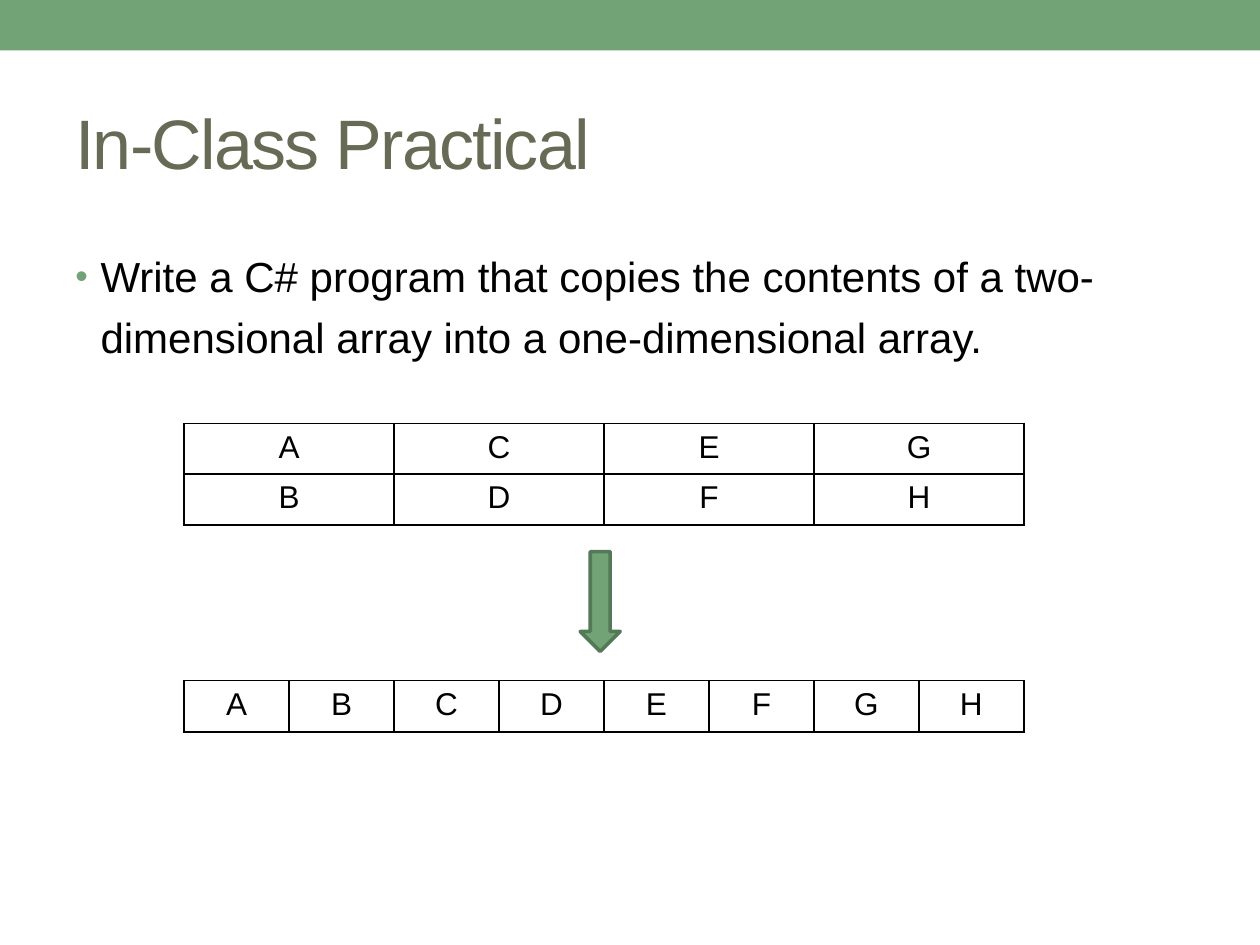
from dataclasses import dataclass

from lxml import etree
from pptx import Presentation
from pptx.dml.color import RGBColor
from pptx.enum.shapes import MSO_SHAPE
from pptx.enum.text import MSO_ANCHOR, PP_ALIGN
from pptx.oxml.ns import qn
from pptx.slide import Slide
from pptx.text.text import TextFrame, _Paragraph, _Run
from pptx.util import Pt

RECT = MSO_SHAPE.RECTANGLE
DOWN = MSO_SHAPE.DOWN_ARROW
MIDDLE = MSO_ANCHOR.MIDDLE
TOP = MSO_ANCHOR.TOP
CENTER = PP_ALIGN.CENTER


@dataclass(frozen=True)
class Theme:
    font: str = "Arial"
    green: str = "72A376"
    edge: str = "547957"
    olive: str = "676A55"
    black: str = "000000"
    title: float = 40
    body: float = 24
    cell: float = 18
    rule: float = 1


@dataclass(frozen=True)
class Box:
    left: float
    top: float
    width: float
    height: float

    def place(self) -> tuple[Pt, Pt, Pt, Pt]:
        return Pt(self.left), Pt(self.top), Pt(self.width), Pt(self.height)


@dataclass(frozen=True)
class Grid:
    top: float
    rows: tuple[str, ...]
    heights: tuple[float, ...]
    left: float = 105.2
    width: float = 480


THEME = Theme()
GRIDS = (
    Grid(241.9, ("ACEG", "BDFH"), (28.4, 29.2)),
    Grid(389, ("ABCDEFGH",), (29.2,)),
)


def add_run(para: _Paragraph, text: str, size: float, color: str) -> _Run:
    run = para.add_run()
    run.text = text
    run.font.name = THEME.font
    run.font.size = Pt(size)
    run.font.color.rgb = RGBColor.from_string(color)
    return run


def add_frame(slide: Slide, box: Box, anchor: MSO_ANCHOR) -> TextFrame:
    frame = slide.shapes.add_textbox(*box.place()).text_frame
    frame.word_wrap = True
    frame.vertical_anchor = anchor
    return frame


def add_solid(slide: Slide, kind: MSO_SHAPE, box: Box, edge: str = "", weight: float = 0) -> None:
    shape = slide.shapes.add_shape(kind, *box.place())
    shape.shadow.inherit = False
    shape.fill.solid()
    shape.fill.fore_color.rgb = RGBColor.from_string(THEME.green)
    if edge:
        shape.line.color.rgb = RGBColor.from_string(edge)
        shape.line.width = Pt(weight)
    else:
        shape.line.fill.background()


def add_bullet(para: _Paragraph, indent: float) -> None:
    props = para._p.get_or_add_pPr()
    props.set("marL", str(Pt(indent)))
    props.set("indent", str(-Pt(indent)))
    color = etree.SubElement(props, qn("a:buClr"))
    etree.SubElement(color, qn("a:srgbClr"), val=THEME.green)
    etree.SubElement(props, qn("a:buSzPct"), val="85000")
    etree.SubElement(props, qn("a:buFont"), typeface=THEME.font)
    etree.SubElement(props, qn("a:buChar"), char="•")


def add_grid(slide: Slide, grid: Grid) -> None:
    count = len(grid.rows[0])
    box = Box(grid.left, grid.top, grid.width, sum(grid.heights))
    table = slide.shapes.add_table(len(grid.rows), count, *box.place()).table
    table.first_row = False
    table.horz_banding = False
    for col in table.columns:
        col.width = Pt(grid.width / count)
    for row, height, names in zip(table.rows, grid.heights, grid.rows):
        row.height = Pt(height)
        for cell, name in zip(row.cells, names):
            para = cell.text_frame.paragraphs[0]
            para.alignment = CENTER
            add_run(para, name, THEME.cell, THEME.black)
            props = cell._tc.get_or_add_tcPr()
            for side in ("lnL", "lnR", "lnT", "lnB"):
                line = etree.SubElement(props, qn(f"a:{side}"), w=str(Pt(THEME.rule)))
                fill = etree.SubElement(line, qn("a:solidFill"))
                etree.SubElement(fill, qn("a:srgbClr"), val=THEME.black)
            cell.fill.background()


def main() -> None:
    deck = Presentation()
    deck.slide_width, deck.slide_height = Pt(720), Pt(540)
    slide = deck.slides.add_slide(deck.slide_layouts[6])

    add_solid(slide, RECT, Box(0, 0, 720, 28.8))

    title = add_frame(slide, Box(36, 42, 648, 77.8), MIDDLE).paragraphs[0]
    run = add_run(title, "In-Class Practical", THEME.title, THEME.olive)
    run.font._element.set("spc", "-100")

    task = add_frame(slide, Box(36, 134, 648, 384), TOP).paragraphs[0]
    add_bullet(task, 14.4)
    task.line_spacing = 1.2
    task.space_after = Pt(6)
    add_run(
        task,
        "Write a C# program that copies the contents of a "
        "two-dimensional array into a one-dimensional array.",
        THEME.body,
        THEME.black,
    )

    for grid in GRIDS:
        add_grid(slide, grid)
    add_solid(slide, DOWN, Box(331.6, 315.2, 22.8, 57), THEME.edge, 2.08)

    deck.save("out.pptx")


if __name__ == "__main__":
    main()
